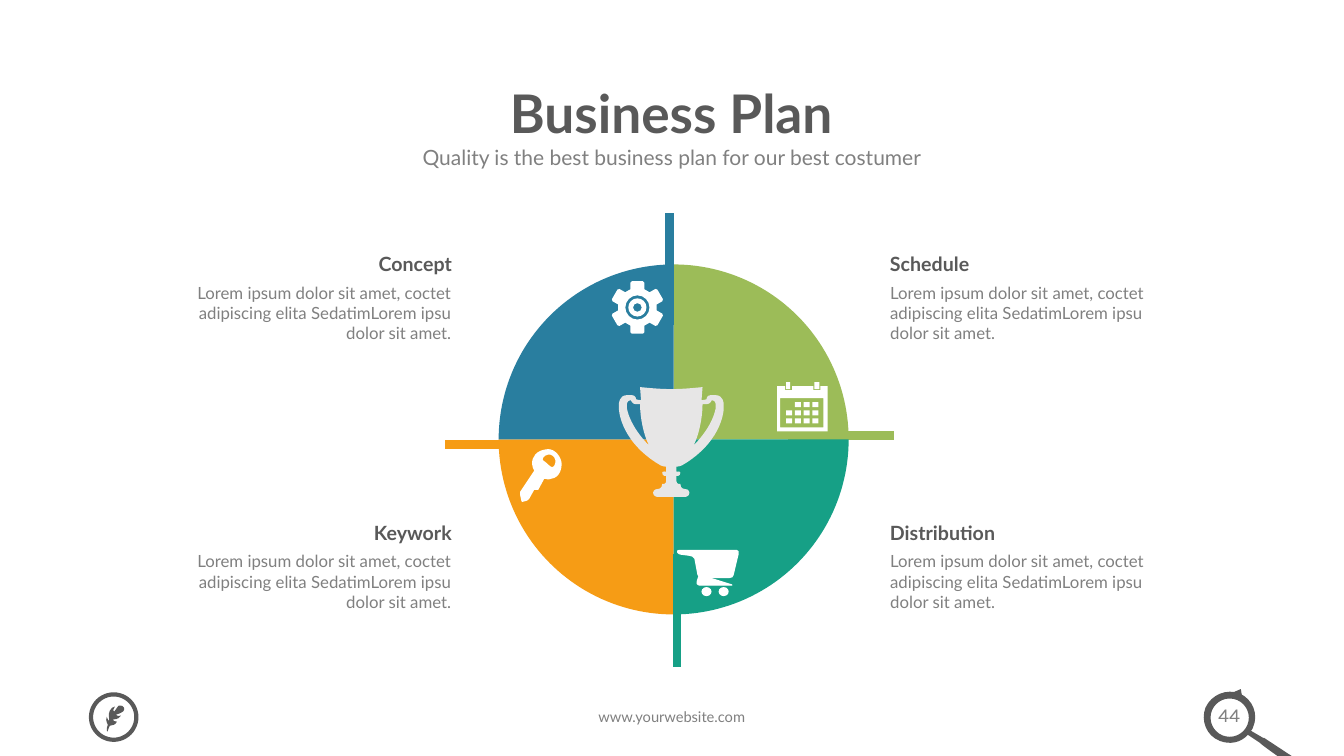
import math

from lxml import etree
from pptx import Presentation
from pptx.dml.color import RGBColor
from pptx.enum import shapes as sh, text as tx
from pptx.oxml import ns
from pptx.util import Pt

WHITE = RGBColor(0xFF, 0xFF, 0xFF)
DARK = RGBColor(0x59, 0x59, 0x59)
GREY = RGBColor(0x80, 0x80, 0x80)
SILVER = RGBColor(0xE7, 0xE6, 0xE6)
ORANGE = RGBColor(0xF6, 0x9C, 0x15)
GREEN = RGBColor(0x9C, 0xBC, 0x58)
TEAL = RGBColor(0x16, 0xA0, 0x86)
BLUE = RGBColor(0x29, 0x7E, 0x9F)
LEFT, CENTER, RIGHT = tx.PP_ALIGN.LEFT, tx.PP_ALIGN.CENTER, tx.PP_ALIGN.RIGHT
TOP, MIDDLE = tx.MSO_ANCHOR.TOP, tx.MSO_ANCHOR.MIDDLE
GRID = 0.72  # points per unit of the icon outlines

LOREM = ("Lorem ipsum dolor sit amet, coctet adipiscing elita "
         "SedatimLorem ipsu dolor sit amet.")

KEY = ("M 34 16 C 32 19 30 17 27 14 24 11 21 11 23 8 25 5 30 4 32 6 35 8 36 12 34 16 "
       "M 41 12 C 39 4 32 -2 25 0 17 1 11 7 12 15 12 17 13 19 14 21 L 0 42 "
       "C 0 43 0 44 0 45 L 1 50 C 1 51 2 52 2 52 L 6 51 C 7 51 8 50 9 49 "
       "L 14 40 18 40 24 29 C 27 30 30 30 31 29 39 28 42 19 41 12")
CALENDAR = ("M 50 0 L 43 0 43 4 36 4 36 0 15 0 15 4 8 4 8 0 0 0 0 45 50 45 "
            "M 46 41 L 3 41 3 12 46 12")
CART = ("M 52 28 C 54 28 56 27 56 25 L 61 4 C 62 2 60 0 59 0 L 2 0 C 0 0 -1 1 0 3 "
        "0 4 3 5 4 5 L 12 6 C 14 6 16 7 17 9 L 20 25 C 21 27 23 28 24 28")
CART_FRAME = "M 22 25 L 20 31 C 19 33 20 35 22 35 L 54 35"
FEATHER = ("M 2 25 C 2 24 3 22 4 20 7 19 9 20 11 16 9 16 7 15 7 14 7 13 12 15 15 10 "
           "11 11 10 9 10 9 12 8 15 8 17 6 18 5 19 3 18 2 18 1 15 -1 13 0 "
           "12 0 9 6 8 6 7 6 7 3 9 1 7 1 5 3 4 5 2 8 4 15 3 15 3 16 1 12 1 11 "
           "0 13 0 15 2 19 1 21 1 23 1 25 1 26 2 26 2 25")
MAGNIFIER = ("M 97 70 C 94 68 59 45 59 45 L 58 45 46 38 C 47 37 48 36 48 35 "
             "54 22 48 7 35 1 22 -4 7 2 1 15 -4 28 2 43 15 48 25 52 36 50 43 42 "
             "L 55 50 C 55 51 89 75 93 77 95 78 96 77 97 75 97 75 100 73 97 70")
CUP_HALF = ("M 52 2 C 63 2 73 1 83 0 L 82 13 C 85 13 87 12 87 12 87 12 87 8 91 8 "
            "L 96 8 C 104 8 104 17 104 17 L 104 21 C 104 21 104 51 67 75 "
            "64 77 61 79 57 79 L 57 84 C 57 84 61 83 61 85 61 89 57 88 57 88 "
            "L 57 93 C 57 97 61 96 61 96 61 101 65 101 65 101 70 101 70 105 70 105 "
            "70 109 65 109 65 109 L 52 109")
CUP_HANDLE = ("M 83 17 L 87 17 C 91 17 92 13 92 13 96 13 96 17 96 17 L 96 21 "
              "C 96 21 94 38 74 58 79 49 83 31 83 17")


def contours(d):
    """Split M, L and C commands into (points, points per segment) pairs."""
    result, cmd, tokens, i = [], "M", d.split(), 0
    while i < len(tokens):
        if tokens[i].isalpha():
            cmd = tokens[i]
            i += 1
        n = 3 if cmd == "C" else 1
        v = [float(t) for t in tokens[i:i + 2 * n]]
        i += 2 * n
        if cmd == "M":
            result.append(([], []))
        else:
            result[-1][1].append(n)
        result[-1][0].extend(zip(v[0::2], v[1::2]))
    return result


def circle(cx, cy, r):
    k = 0.55
    unit = [(1, 0), (1, k), (k, 1), (0, 1), (-k, 1), (-1, k), (-1, 0),
            (-1, -k), (-k, -1), (0, -1), (k, -1), (1, -k), (1, 0)]
    return [(cx + r * a, cy + r * b) for a, b in unit], [3] * 4


def mirrored(contour, axis):
    points, sizes = contour
    return [(2 * axis - x, y) for x, y in reversed(points)], sizes[::-1]


def paint(sp, color):
    sp.shadow.inherit = False
    sp.fill.solid()
    sp.fill.fore_color.rgb = color
    sp.line.fill.background()
    return sp


def preset(s, kind, x, y, w, h, color, rot=0):
    sp = paint(s.shapes.add_shape(kind, Pt(x), Pt(y), Pt(w), Pt(h)), color)
    sp.rotation = rot
    return sp


def bend(sp, sizes):
    """Join each run of three line segments into one Bezier curve."""
    lines = iter(list(sp._element.iter(ns.qn("a:lnTo"))))
    for n in sizes:
        run = [next(lines) for _ in range(n)]
        if n == 3:
            curve = etree.Element(ns.qn("a:cubicBezTo"))
            run[0].addprevious(curve)
            for ln in run:
                curve.append(ln[0])
                ln.getparent().remove(ln)


def outline(s, x, y, parts, color):
    """Draw contours on the icon grid with its origin at x, y."""
    placed = [[(Pt(x + a * GRID), Pt(y + b * GRID)) for a, b in pts] for pts, _ in parts]
    fb = s.shapes.build_freeform(*placed[0][0])
    for i, pts in enumerate(placed):
        if i:
            fb.move_to(*pts[0])
        fb.add_line_segments(pts[1:], close=True)
    sp = paint(fb.convert_to_shape(), color)
    bend(sp, [n for _, sizes in parts for n in sizes])
    return sp


def write(sp, words, size, color, align, bold=False, anchor=TOP,
          font="Lato", insets=(7.2, 3.6, 7.2, 3.6)):
    tf = sp.text_frame
    tf.word_wrap, tf.auto_size, tf.vertical_anchor = True, tx.MSO_AUTO_SIZE.NONE, anchor
    tf.margin_left, tf.margin_top, tf.margin_right, tf.margin_bottom = map(Pt, insets)
    p = tf.paragraphs[0]
    p.alignment = align
    r = p.add_run()
    r.text = words
    r.font.name, r.font.size, r.font.bold = font, Pt(size), bold
    r.font.color.rgb = color
    return p


def textbox(s, x, y, w, h, *args, **kwargs):
    write(s.shapes.add_textbox(Pt(x), Pt(y), Pt(w), Pt(h)), *args, **kwargs)


def header(s, x, y, w):
    title = s.shapes.title
    title.left, title.top, title.width, title.height = Pt(x), Pt(y), Pt(w), Pt(59)
    p = write(title, "Business Plan", 38, DARK, CENTER, bold=True, anchor=MIDDLE)
    p.line_spacing = 0.9
    textbox(s, x + 73, y + 44.5, w - 145, 28,
            "Quality is the best business plan for our best costumer",
            15, GREY, CENTER, insets=(9.4, 5, 9.4, 5))


def caption(s, x, y, heading, align, w=198, head_w=149):
    head_x, body_x = (x, x + 7.2) if align == LEFT else (x + w - head_w + 0.5, x)
    textbox(s, head_x, y, head_w, 21.6, heading, 14, DARK, align, bold=True, anchor=MIDDLE)
    textbox(s, body_x, y + 21.6, w, 48.2, LOREM, 12, GREY, align, anchor=MIDDLE,
            insets=(0, 3.6, 7.2, 3.6))


def quarter(s, cx, cy, r, color, rot, col, row, dx, dy, reach, offset):
    """A quarter disc and the spoke that leaves it in direction dx, dy."""
    preset(s, sh.MSO_SHAPE.PIE_WEDGE, cx + col * r, cy + row * r, r, r, color, rot)
    x, y = cx + offset * dy, cy - offset * dx
    ln = s.shapes.add_connector(sh.MSO_CONNECTOR.STRAIGHT, Pt(x + 82 * dx), Pt(y + 82 * dy),
                                Pt(x + reach * dx), Pt(y + reach * dy))
    ln.line.color.rgb, ln.line.width = color, Pt(6)
    etree.SubElement(ln._element.spPr, ns.qn("a:effectLst"))


def calendar(s, x, y):
    days = [(9 + 8.7 * c, 16 + 8 * r, 6, 5) for r in range(3) for c in range(4) if r or c]
    for a, b, w, h in days + [(9, -4, 4, 7), (37, -4, 5, 7)]:
        preset(s, sh.MSO_SHAPE.RECTANGLE, x + a * GRID, y + b * GRID, w * GRID, h * GRID, WHITE)
    outline(s, x, y, contours(CALENDAR), WHITE)


def cart(s, x, y):
    outline(s, x, y, contours(CART), WHITE)
    for a in (24, 41):
        preset(s, sh.MSO_SHAPE.OVAL, x + a * GRID, y + 37 * GRID, 10 * GRID, 9 * GRID, WHITE)
    frame = outline(s, x, y, contours(CART_FRAME), WHITE)
    frame.line.color.rgb, frame.line.width = WHITE, Pt(1)


def gear(s, x, y, c=26):
    tooth = [(-7, -18), (-7, -24.5), (-5.5, -26), (5.5, -26), (7, -24.5), (7, -18)]
    turns = [k * math.pi / 3 for k in range(6)]
    rim = [(c + a * math.cos(t) - b * math.sin(t), c + a * math.sin(t) + b * math.cos(t))
           for t in turns for a, b in tooth]
    outline(s, x, y, [(rim, [1] * 35)] + [circle(c, c, r) for r in (12, 9, 4.3)], WHITE)


def trophy(s, x, y, axis=52):
    half, handle = contours(CUP_HALF)[0], contours(CUP_HANDLE)[0]
    other = mirrored(half, axis)
    cup = half[0] + other[0], half[1] + [1] + other[1]
    outline(s, x, y, [cup, handle, mirrored(handle, axis)], SILVER)


def wheel(s, cx, cy, r=125):
    quarter(s, cx, cy, r, ORANGE, 270, -1, 0, -1, 0, 163, 3.6)
    outline(s, cx - 109.7, cy + 7.2, contours(KEY), WHITE)
    quarter(s, cx, cy, r, GREEN, 90, 0, -1, 1, 0, 157.3, 2.9)
    calendar(s, cx + 73.9, cy - 38.1)
    quarter(s, cx, cy, r, TEAL, 180, 0, 0, 0, 1, 162.5, 2.5)
    cart(s, cx + 2.6, cy + 78.8)
    quarter(s, cx, cy, r, BLUE, 0, -1, -1, 0, -1, 161.6, 3.1)
    gear(s, cx - 44.6, cy - 113)
    trophy(s, cx - 39.1, cy - 37.4)


def footer(s, y):
    textbox(s, 306, y + 5.8, 347.8, 21, "www.yourwebsite.com", 10.5, GREY, CENTER)
    textbox(s, 856, y + 2.9, 44, 24.5, "44", 14, GREY, CENTER, font="Karla")
    arrow = preset(s, sh.MSO_SHAPE.RIGHT_ARROW, 880.5, y - 4.3, 7.9, 7.9, DARK, 298.7)
    arrow.adjustments[0], arrow.adjustments[1] = 0.32, 0.64
    outline(s, 860.4, y - 1.4, contours(MAGNIFIER) + [circle(25, 25, 19)], DARK)
    badge = preset(s, sh.MSO_SHAPE.OVAL, 65, y, 32.4, 32.4, WHITE)
    badge.fill.background()
    badge.line.color.rgb, badge.line.width = DARK, Pt(3)
    outline(s, 75.6, y + 8, contours(FEATHER), DARK)


def main():
    prs = Presentation()
    prs.slide_width, prs.slide_height = Pt(960), Pt(540)
    s = prs.slides.add_slide(prs.slide_layouts[5])
    header(s, 119.5, 53.5, 720)
    for y, left, right in ((177.8, "Concept", "Schedule"), (369.6, "Keywork", "Distribution")):
        caption(s, 131.4, y, left, RIGHT)
        caption(s, 628.6, y, right, LEFT)
    wheel(s, 481.2, 313.9)
    footer(s, 496)
    prs.save("out.pptx")


if __name__ == "__main__":
    main()
